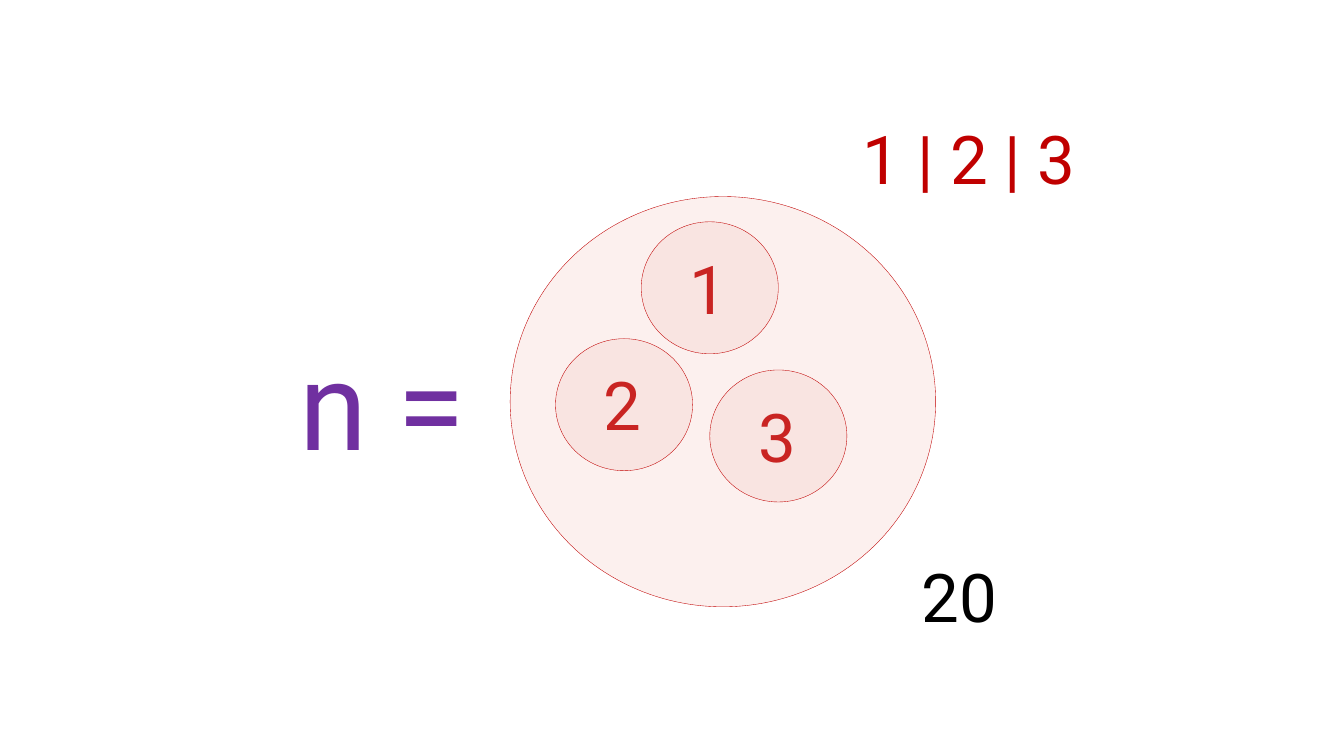
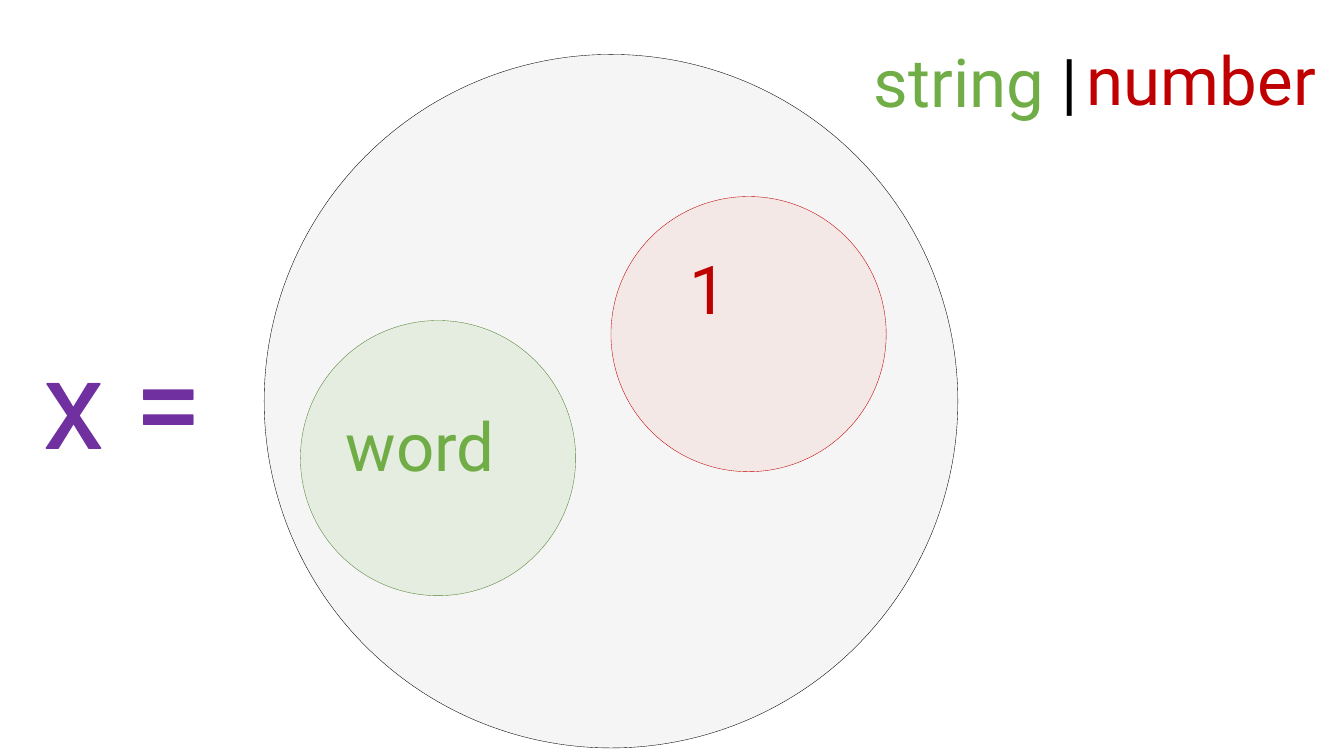
from dataclasses import dataclass

from lxml import etree
from pptx import Presentation
from pptx.dml.color import RGBColor
from pptx.enum import shapes, text
from pptx.oxml import ns
from pptx.util import Inches, Pt


@dataclass(frozen=True)
class Theme:
    font: str = "Roboto"
    label_size: int = 48
    variable_size: int = 88
    outline: float = 0.25
    opacity: int = 20
    black: str = "000000"
    purple: str = "7030A0"
    red: str = "C00000"
    green: str = "70AD47"
    dark_green: str = "548235"
    pale_red: str = "F0B4AE"
    pale_green: str = "A9D18E"
    pale_gray: str = "D0CECE"


THEME = Theme()


def add_label(page, left, top, width, spans, size=THEME.label_size, height=0.91):
    box = page.shapes.add_textbox(Inches(left), Inches(top), Inches(width), Inches(height))
    frame = box.text_frame
    frame.word_wrap = True
    frame.margin_right = 0
    frame.vertical_anchor = text.MSO_ANCHOR.TOP
    para = frame.paragraphs[0]
    for words, color in spans:
        span = para.add_run()
        span.text = words
        span.font.name = THEME.font
        span.font.size = Pt(size)
        span.font.color.rgb = RGBColor.from_string(color)


def add_variable(page, left, top, words):
    add_label(page, left, top, 1.95, [(words, THEME.purple)], THEME.variable_size, 1.58)


def add_set(page, left, top, width, height, fill, line):
    circle = page.shapes.add_shape(
        shapes.MSO_SHAPE.OVAL, Inches(left), Inches(top), Inches(width), Inches(height))
    circle.shadow.inherit = False
    circle.fill.solid()
    circle.fill.fore_color.rgb = RGBColor.from_string(fill)
    color = circle.fill._xPr.find(".//" + ns.qn("a:srgbClr"))
    etree.SubElement(color, ns.qn("a:alpha"), val=str(THEME.opacity * 1000))
    circle.line.color.rgb = RGBColor.from_string(line)
    circle.line.width = Pt(THEME.outline)


def build_literal_union(page, left, top):
    members = [("1", 1.3, 0.25), ("2", 0.45, 1.41), ("3", 1.98, 1.72)]
    add_label(page, left + 3.98, top + 3.51, 0.95, [("20", THEME.black)])
    add_variable(page, left - 2.19, top + 1.25, "n =")
    add_set(page, left, top, 4.22, 4.07, THEME.pale_red, THEME.red)
    add_label(page, left + 3.4, top - 0.84, 2.34, [("1 | 2 | 3", THEME.red)])
    for digit, across, down in members:
        add_label(page, left + across + 0.38, top + down + 0.2, 0.6, [(digit, THEME.red)])
    for digit, across, down in members:
        add_set(page, left + across, top + down, 1.36, 1.31, THEME.pale_red, THEME.red)


def build_type_union(page, left, top):
    wide, member = 2.73, 2.73
    add_set(page, left, top, 6.88, 6.88, THEME.pale_gray, THEME.black)
    add_set(page, left + 3.44, top + 1.41, member, member, THEME.pale_red, THEME.red)
    add_set(page, left + 0.36, top + 2.64, member, member, THEME.pale_green, THEME.dark_green)
    add_label(page, left + 8.06, top - 0.21, wide, [("number", THEME.red)])
    add_label(page, left + 0.71, top + 3.42, wide, [("word", THEME.green)])
    add_label(page, left + 4.12, top + 1.86, 0.6, [("1", THEME.red)])
    add_label(page, left + 5.95, top - 0.19, wide,
              [("string ", THEME.green), ("|", THEME.black)])
    for down in (2.65, 2.64):
        add_variable(page, left - 2.29, top + down, "x =")


def main():
    deck = Presentation()
    deck.slide_width, deck.slide_height = Inches(13.33), Inches(7.5)
    blank = deck.slide_layouts[6]
    build_literal_union(deck.slides.add_slide(blank), 5.06, 1.95)
    build_type_union(deck.slides.add_slide(blank), 2.62, 0.54)
    deck.save("out.pptx")


if __name__ == "__main__":
    main()
